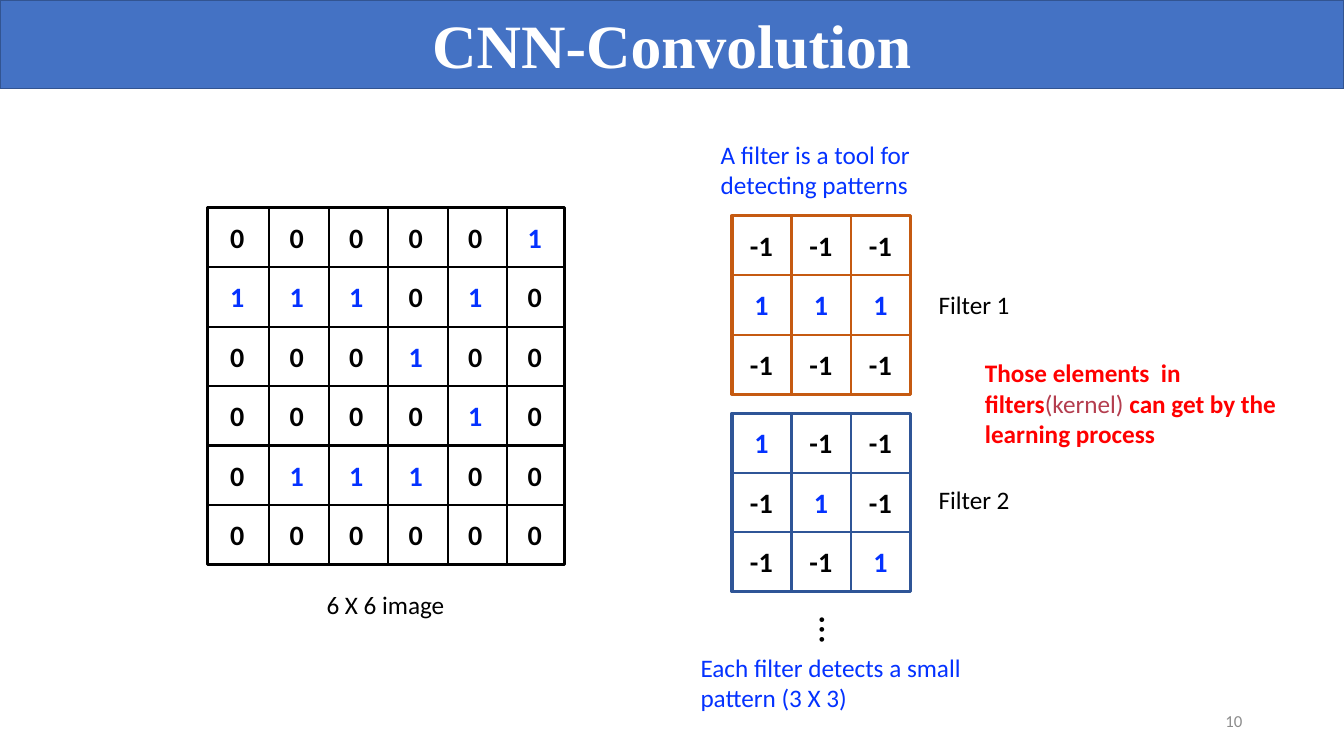
import pptx
import pptx.dml.color
import pptx.enum.shapes
import pptx.enum.text
import pptx.oxml.ns
import pptx.util
from lxml import etree

Inches = pptx.util.Inches
Pt = pptx.util.Pt
RGBColor = pptx.dml.color.RGBColor
ALIGN = pptx.enum.text.PP_ALIGN
ANCHOR = pptx.enum.text.MSO_ANCHOR
AUTO_SIZE = pptx.enum.text.MSO_AUTO_SIZE

WHITE = RGBColor(0xFF, 0xFF, 0xFF)
BLACK = RGBColor(0, 0, 0)
BANNER = RGBColor(0x44, 0x72, 0xC4)
BANNER_EDGE = RGBColor(0x32, 0x54, 0x91)
BLUE = RGBColor(0x04, 0x32, 0xFF)
RED = RGBColor(0xFF, 0, 0)
DULL_RED = RGBColor(0xB4, 0x3E, 0x4F)
ORANGE = RGBColor(0xC5, 0x5A, 0x11)
NAVY = RGBColor(0x2F, 0x55, 0x97)
GREY = RGBColor(0x8C, 0x8C, 0x8C)

CELL = 0.59
DIGIT_HEIGHT = 0.44

IMAGE = [
    [0, 0, 0, 0, 0, 1],
    [1, 1, 1, 0, 1, 0],
    [0, 0, 0, 1, 0, 0],
    [0, 0, 0, 0, 1, 0],
    [0, 1, 1, 1, 0, 0],
    [0, 0, 0, 0, 0, 0],
]
FILTER_1 = [[-1, -1, -1], [1, 1, 1], [-1, -1, -1]]
FILTER_2 = [[1, -1, -1], [-1, 1, -1], [-1, -1, 1]]


def add_run(paragraph, text, size, color, bold=False, font="Calibri"):
    run = paragraph.add_run()
    run.text = text
    run.font.name = font
    run.font.size = Pt(size)
    run.font.bold = bold
    run.font.color.rgb = color


def add_text(shapes, left, top, width, height, runs, wrap=False):
    """Add a text box whose runs are (text, size, color[, bold]) tuples."""
    box = shapes.add_textbox(Inches(left), Inches(top), Inches(width), Inches(height))
    frame = box.text_frame
    frame.word_wrap = wrap
    frame.auto_size = AUTO_SIZE.SHAPE_TO_FIT_TEXT
    for run in runs:
        add_run(frame.paragraphs[0], *run)
    return box


def add_grid_line(shapes, x1, y1, x2, y2, color):
    line = shapes.add_connector(
        pptx.enum.shapes.MSO_CONNECTOR.STRAIGHT,
        Inches(x1), Inches(y1), Inches(x2), Inches(y2))
    line.line.color.rgb = color
    line.line.width = Pt(1.5)
    etree.SubElement(line.element.spPr, pptx.oxml.ns.qn("a:effectLst"))
    return line


def add_matrix(slide, left, top, values, color, column_shift=0):
    """Draw a square grid of numbers; column_shift moves its vertical rules."""
    shapes = slide.shapes.add_group_shape().shapes
    count = len(values)
    side = count * CELL
    outline = shapes.add_shape(
        pptx.enum.shapes.MSO_SHAPE.RECTANGLE,
        Inches(left), Inches(top), Inches(side), Inches(side))
    outline.shadow.inherit = False
    outline.fill.background()
    outline.line.color.rgb = color
    outline.line.width = Pt(2.25)

    for index in range(1, count):
        x = left + index * CELL + column_shift
        y = top + index * CELL
        row_line = add_grid_line(shapes, left, y, left + side, y, color)
        if 2 * index == count:
            row_line.begin_connect(outline, 1)
            row_line.end_connect(outline, 3)
        add_grid_line(shapes, x, top, x, top + side, color)

    for row, numbers in enumerate(values):
        for column, number in enumerate(numbers):
            width = 0.43 if number < 0 else 0.34
            add_text(
                shapes,
                left + column * CELL + (CELL - width) / 2,
                top + row * CELL + (CELL - DIGIT_HEIGHT) / 2,
                width, DIGIT_HEIGHT,
                [(str(number), 20, BLUE if number == 1 else BLACK, True)])


def add_banner(slide, text):
    banner = slide.shapes.title
    banner.left, banner.top = Inches(0), Inches(0)
    banner.width, banner.height = Inches(13.33), Inches(0.88)
    banner.fill.solid()
    banner.fill.fore_color.rgb = BANNER
    banner.line.color.rgb = BANNER_EDGE
    banner.line.width = Pt(1)
    frame = banner.text_frame
    frame.auto_size = AUTO_SIZE.NONE
    frame.vertical_anchor = ANCHOR.MIDDLE
    frame.paragraphs[0].alignment = ALIGN.CENTER
    add_run(frame.paragraphs[0], text, 44, WHITE, True, "Times New Roman")


def add_page_number(slide, number):
    box = add_text(slide.shapes, 9.42, 6.95, 3, 0.4, [(number, 12, GREY)], wrap=True)
    box.text_frame.auto_size = AUTO_SIZE.NONE
    box.text_frame.vertical_anchor = ANCHOR.MIDDLE
    box.text_frame.paragraphs[0].alignment = ALIGN.RIGHT


def main():
    presentation = pptx.Presentation()
    presentation.slide_width = Inches(13.33)
    presentation.slide_height = Inches(7.5)
    slide = presentation.slides.add_slide(presentation.slide_layouts[5])
    shapes = slide.shapes

    add_banner(slide, "CNN-Convolution")
    add_matrix(slide, 2.06, 2.06, IMAGE, BLACK, column_shift=0.02)
    add_matrix(slide, 7.26, 2.14, FILTER_1, ORANGE)
    add_matrix(slide, 7.26, 4.1, FILTER_2, NAVY)

    add_text(shapes, 9.21, 2.82, 0.91, 0.4, [("Filter 1", 18, BLACK)])
    add_text(shapes, 9.21, 4.76, 0.91, 0.4, [("Filter 2", 18, BLACK)])
    add_text(shapes, 3.14, 5.8, 1.39, 0.4, [("6 X 6 image", 18, BLACK)])
    more_filters = add_text(shapes, 7.9, 6.02, 0.67, 0.37, [("…", 28, BLACK)])
    more_filters.element.txBody.bodyPr.set("vert", "eaVert")

    add_text(shapes, 9.67, 3.5, 3.34, 1.01, [
        ("Those elements  in filters", 18, RED, True),
        ("(kernel)", 18, DULL_RED),
        (" can get by the learning process", 18, RED, True),
    ], wrap=True)
    add_text(shapes, 6.85, 6.42, 3.17, 0.71,
             [("Each filter detects a small pattern (3 X 3)", 18, BLUE)], wrap=True)
    add_text(shapes, 7.05, 1.33, 2.77, 0.71,
             [("A filter is a tool for detecting patterns", 18, BLUE)], wrap=True)
    add_page_number(slide, "10")

    presentation.save("out.pptx")


if __name__ == "__main__":
    main()
